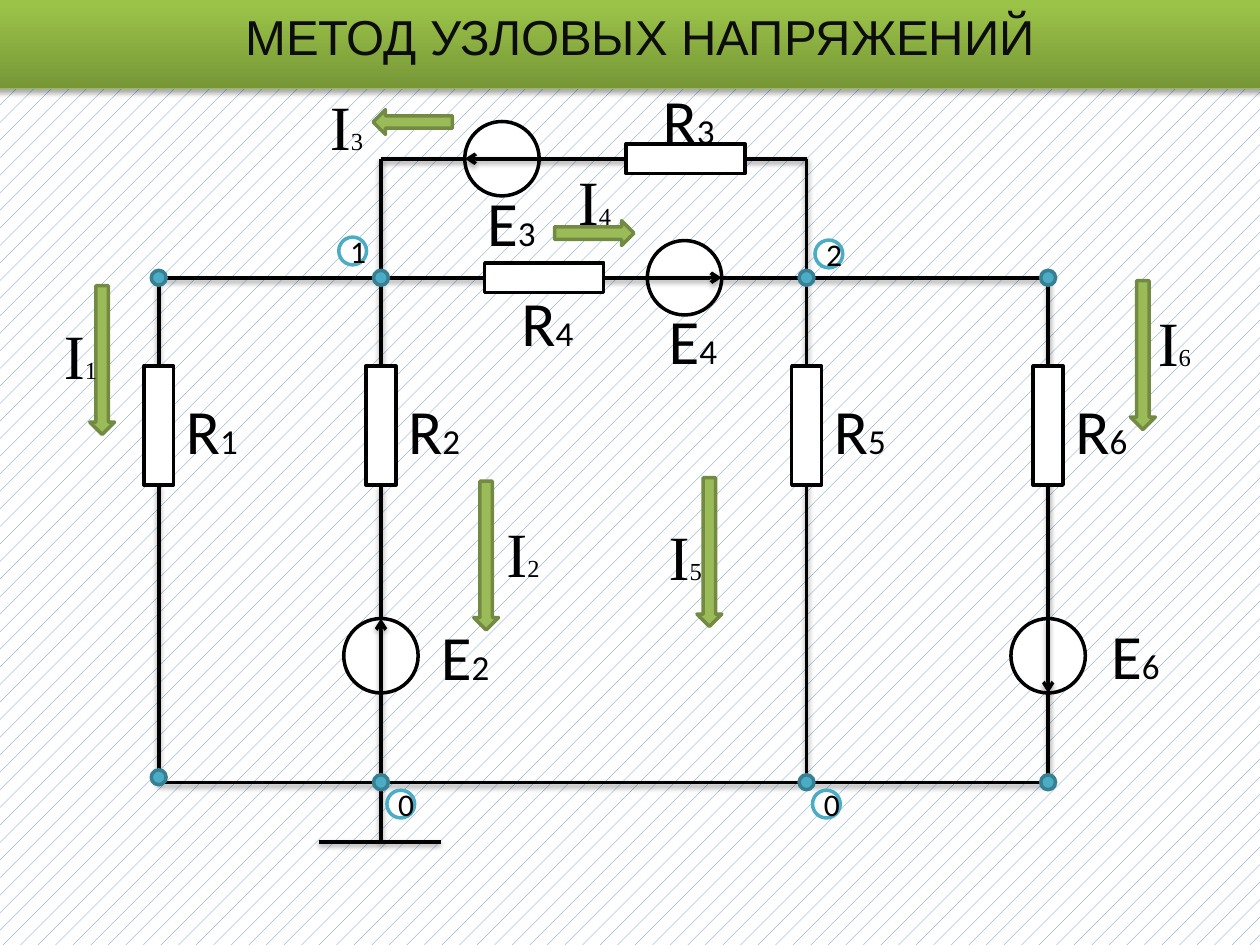
from dataclasses import dataclass

from lxml import etree
from pptx import Presentation
from pptx.dml.color import RGBColor
from pptx.enum.dml import MSO_PATTERN
from pptx.enum.shapes import MSO_CONNECTOR, MSO_SHAPE
from pptx.enum.text import MSO_ANCHOR, MSO_AUTO_SIZE, PP_ALIGN
from pptx.oxml import parse_xml
from pptx.oxml.ns import nsdecls, qn
from pptx.util import Cm, Pt

RECT, OVAL, ARROW = MSO_SHAPE.RECTANGLE, MSO_SHAPE.OVAL, MSO_SHAPE.RIGHT_ARROW
STRAIGHT = MSO_CONNECTOR.STRAIGHT
CENTER, MIDDLE = PP_ALIGN.CENTER, MSO_ANCHOR.MIDDLE
FIT_SHAPE = MSO_AUTO_SIZE.SHAPE_TO_FIT_TEXT
DOTS = MSO_PATTERN.PERCENT_5


@dataclass(frozen=True)
class Theme:
    ink: str = "000000"
    paper: str = "FFFFFF"
    dots: str = "4F81BD"
    title_ink: str = "0D0D0D"
    title_line: str = "98B955"
    title_stops: tuple = ((0, "779737"), (80, "9BC348"), (100, "9DC746"))
    node: str = "4BACC6"
    node_line: str = "377F92"
    current: str = "9BBB59"
    current_line: str = "738A42"
    title_font: str = "Arial"
    part_font: str = "Calibri"
    current_font: str = "Times New Roman"
    title_size: int = 28
    letter_size: int = 36
    part_index: int = 20
    current_index: int = 14
    badge_size: int = 18
    stroke: float = 2


T = Theme()

# Circuit grid, in cm from the top left corner of the circuit box
COLS = (0, 4.48, 13.06, 17.93)
TOP, MID, BOTTOM, GROUND = 0, 2.4, 12.57, 13.77
R_Y, E_Y = 5.38, 10.02            # centres of upright resistors and sources
R3_X, R4_X, E3_X, E4_X = 10.62, 7.77, 6.92, 10.6
R_LONG, R_WIDE, E_SIZE, NODE_SIZE, BADGE_SIZE = 2.4, 0.6, 1.5, 0.3, 0.56


def rgb(value):
    return RGBColor.from_string(value)


def set_all(obj, formats):
    for name, value in formats.items():
        setattr(obj, name, value)


def add_run(p, text, size, font, color=T.ink):
    r = p.add_run()
    r.text = text
    set_all(r.font, {"size": Pt(size), "name": font})
    r.font.color.rgb = rgb(color)


def add_shadow(sp, alpha, blur, dist):
    sp._element.spPr.append(parse_xml(
        f'<a:effectLst {nsdecls("a")}><a:outerShdw blurRad="{Pt(blur)}" '
        f'dist="{Pt(dist)}" dir="5400000" rotWithShape="0"><a:srgbClr val="{T.ink}">'
        f'<a:alpha val="{alpha * 1000}"/></a:srgbClr></a:outerShdw></a:effectLst>'))


def add_part(s, kind, box, cx, cy, w, h, fill, line, rotation=0):
    """Add a preset shape centred on a point of the box."""
    sp = s.shapes.add_shape(kind, Cm(box[0] + cx - w / 2), Cm(box[1] + cy - h / 2),
                            Cm(w), Cm(h))
    sp.rotation = rotation
    sp.shadow.inherit = False
    sp.fill.solid()
    sp.fill.fore_color.rgb = rgb(fill)
    sp.line.color.rgb = rgb(line)
    sp.line.width = Pt(T.stroke)
    return sp


def add_wire(s, box, x1, y1, x2, y2, arrow=False):
    c = s.shapes.add_connector(STRAIGHT, Cm(box[0] + x1), Cm(box[1] + y1),
                               Cm(box[0] + x2), Cm(box[1] + y2))
    c.line.color.rgb = rgb(T.ink)
    c.line.width = Pt(T.stroke)
    if arrow:
        etree.SubElement(c.line._get_or_add_ln(), qn("a:tailEnd"), type="arrow")
    add_shadow(c, 38, 3.1, 1.6)


def add_label(s, box, x, y, name, width, font, index_size):
    """Add a letter followed by a smaller index."""
    tf = s.shapes.add_textbox(Cm(box[0] + x), Cm(box[1] + y), Cm(width), Cm(1.8)).text_frame
    set_all(tf, {"word_wrap": False, "auto_size": FIT_SHAPE})
    p = tf.paragraphs[0]
    add_run(p, name[0], T.letter_size, font)
    add_run(p, name[1], index_size, font)


def build_title(s, box):
    sp = s.shapes.title
    set_all(sp, dict(zip(("left", "top", "width", "height"), map(Cm, box))))
    stops = "".join(f'<a:gs pos="{pos * 1000}"><a:srgbClr val="{color}"/></a:gs>'
                    for pos, color in T.title_stops)
    sp._element.spPr.append(parse_xml(
        f'<a:gradFill {nsdecls("a")} rotWithShape="1"><a:gsLst>{stops}</a:gsLst>'
        '<a:lin ang="16200000" scaled="0"/></a:gradFill>'))
    sp.line.color.rgb = rgb(T.title_line)
    sp.line.width = Pt(0.75)
    add_shadow(sp, 35, 3.1, 1.8)
    tf = sp.text_frame
    set_all(tf, {"word_wrap": True, "auto_size": FIT_SHAPE, "vertical_anchor": MIDDLE})
    p = tf.paragraphs[0]
    p.alignment = CENTER
    add_run(p, "МЕТОД УЗЛОВЫХ НАПРЯЖЕНИЙ", T.title_size, T.title_font, T.title_ink)


def build_circuit(s, box):
    c1, c2, c3, c4 = COLS
    r, e = R_LONG / 2, E_SIZE / 2
    # Wires
    for y, x1, x2 in ((TOP, c2, c3), (MID, c1, c4), (BOTTOM, c1, c4),
                      (GROUND, c2 - 1.25, c2 + 1.2)):
        add_wire(s, box, x1, y, x2, y)
    for x, y1, y2 in ((c1, MID, R_Y - r), (c1, R_Y + r, BOTTOM),
                      (c2, TOP, R_Y - r), (c2, R_Y + r, E_Y - e), (c2, E_Y + e, GROUND),
                      (c3, TOP, BOTTOM), (c4, MID, BOTTOM)):
        add_wire(s, box, x, y1, x, y2)
    # Resistors: the flat ones are turned
    for x, y, turn in [(x, R_Y, 0) for x in COLS] + [(R4_X, MID, 90), (R3_X, TOP, 90)]:
        add_part(s, RECT, box, x, y, R_WIDE, R_LONG, T.paper, T.ink, turn)
    # Sources with the direction of their arrow
    sources = ((c2, E_Y, 0, -e), (c4, E_Y, 0, e), (E4_X, MID, e, 0), (E3_X, TOP, -e, 0))
    for x, y, _, _ in sources:
        add_part(s, OVAL, box, x, y, E_SIZE, E_SIZE, T.paper, T.ink)
    # Nodes: the lower left one sits slightly higher
    for y in (MID, BOTTOM):
        for x in COLS:
            cy = y - 0.1 if (x, y) == (c1, BOTTOM) else y
            add_part(s, OVAL, box, x, cy, NODE_SIZE, NODE_SIZE, T.node, T.node_line)
    for x, y, dx, dy in sources:
        add_wire(s, box, x - dx, y - dy, x + dx, y + dy, arrow=True)


def build_part_labels(s, box):
    c1, c2, c3, c4 = COLS
    beside_r = [(name, x + 0.3, R_Y - 0.81)
                for name, x in zip(("R1", "R2", "R5", "R6"), COLS)]
    flat_r = [("R4", R4_X - 0.71, MID), ("R3", R3_X - 0.71, TOP - 1.68)]
    beside_e = [("E2", c2 + 0.96, E_Y - 0.9), ("E6", c4 + 1.02, E_Y - 0.92)]
    under_e = [("E4", E4_X - 0.57, MID + 0.36), ("E3", E3_X - 0.55, TOP + 0.38)]
    for name, x, y in beside_r + flat_r + beside_e + under_e:
        add_label(s, box, x, y, name, 1.57 if name[0] == "R" else 1.5,
                  T.part_font, T.part_index)


def build_currents(s, box):
    # Name, arrow centre, arrow length, rotation, label corner
    currents = (("I3", 5.12, -0.74, 1.6, 180, 3.2, -1.57),
                ("I2", 6.6, 8, 3, 90, 6.76, 7.04),
                ("I1", -1.14, 4.06, 3, 90, -2.16, 3.05),
                ("I5", 11.1, 7.93, 3, 90, 10.03, 7.11),
                ("I6", 19.84, 3.96, 3, 90, 19.89, 2.79),
                ("I4", 8.78, 1.5, 1.6, 0, 8.2, -0.05))
    for _, cx, cy, length, turn, _, _ in currents:
        add_part(s, ARROW, box, cx, cy, length, 0.5, T.current, T.current_line, turn)
    for name, _, _, _, _, x, y in currents:
        add_label(s, box, x, y, name, 1.2, T.current_font, T.current_index)


def build_node_numbers(s, box):
    for text, x, y in (("1", 3.91, 1.86), ("2", 13.51, 1.92),
                       ("0", 4.88, 13.01), ("0", 13.46, 13.01)):
        sp = add_part(s, OVAL, box, x, y, BADGE_SIZE, BADGE_SIZE, T.paper, T.node)
        p = sp.text_frame.paragraphs[0]
        p.alignment = CENTER
        add_run(p, text, T.badge_size, T.part_font)


def main():
    prs = Presentation()
    set_all(prs, {"slide_width": Cm(25.4), "slide_height": Cm(19.05)})
    s = prs.slides.add_slide(prs.slide_layouts[5])
    fill = s.background.fill
    fill.patterned()
    fill.pattern = DOTS
    fill.fore_color.rgb = rgb(T.dots)
    fill.back_color.rgb = rgb(T.paper)
    build_title(s, (-0.3, 0, 26.4, 1.45))
    circuit_box = (3.2, 3.2, COLS[-1], GROUND)
    for build in (build_circuit, build_part_labels, build_currents, build_node_numbers):
        build(s, circuit_box)
    prs.save("out.pptx")


if __name__ == "__main__":
    main()
